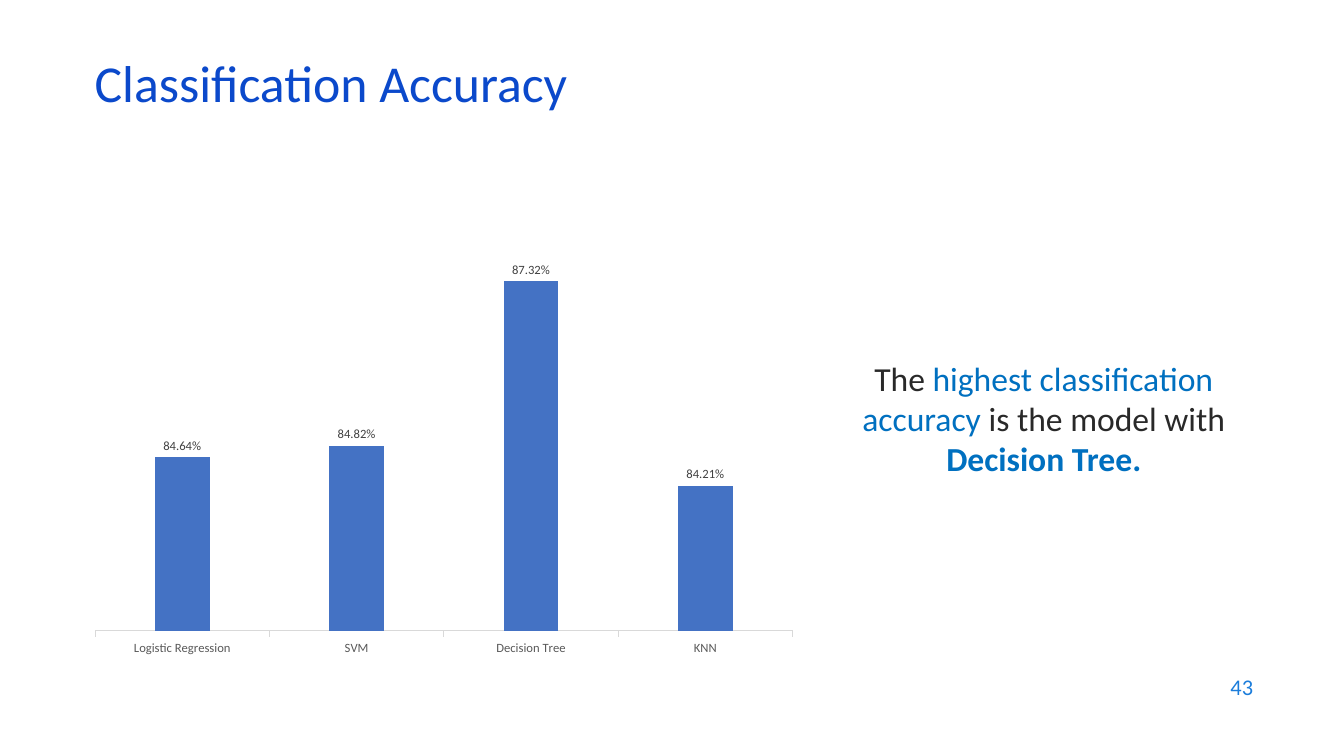
import pptx
import pptx.chart.data
import pptx.dml.color
import pptx.enum.chart
import pptx.enum.text
import pptx.util

Cm = pptx.util.Cm
Pt = pptx.util.Pt
RGBColor = pptx.dml.color.RGBColor
Align = pptx.enum.text.PP_ALIGN
Anchor = pptx.enum.text.MSO_ANCHOR

FONT = "Calibri"
TITLE_BLUE = RGBColor(0x0B, 0x49, 0xCB)
NUMBER_BLUE = RGBColor(0x1C, 0x7D, 0xDB)
ACCENT_BLUE = RGBColor(0x00, 0x70, 0xC0)
BODY_DARK = RGBColor(0x29, 0x29, 0x29)
BAR_BLUE = RGBColor(0x44, 0x72, 0xC4)
LABEL_GREY = RGBColor(0x40, 0x40, 0x40)
AXIS_GREY = RGBColor(0x59, 0x59, 0x59)
AXIS_LINE = RGBColor(0xD9, 0xD9, 0xD9)
BLACK = RGBColor(0, 0, 0)

ACCURACY = {
    "Logistic Regression": 0.8464,
    "SVM": 0.8482,
    "Decision Tree": 0.8732,
    "KNN": 0.8421,
}


def style_font(font, size, color, bold=False):
    font.name = FONT
    font.size = Pt(size)
    font.bold = bold
    font.color.rgb = color


def add_run(paragraph, text, size, color, bold=False):
    run = paragraph.add_run()
    run.text = text
    style_font(run.font, size, color, bold)


def add_title(slide, left, top, width, height):
    title = slide.shapes.title
    title.left, title.top, title.width, title.height = left, top, width, height
    title.text_frame.vertical_anchor = Anchor.MIDDLE
    heading = title.text_frame.paragraphs[0]
    heading.alignment = Align.LEFT
    heading.line_spacing = 0.7
    add_run(heading, "Classification Accuracy", 37, TITLE_BLUE)


def add_accuracy_chart(slide, left, top, width, height):
    data = pptx.chart.data.CategoryChartData(number_format="0.00%")
    data.categories = list(ACCURACY)
    data.add_series("Series 1", list(ACCURACY.values()))
    chart = slide.shapes.add_chart(
        pptx.enum.chart.XL_CHART_TYPE.COLUMN_CLUSTERED,
        left, top, width, height, data).chart
    chart.has_legend = False
    chart.has_title = False
    style_font(chart.font, 10, BLACK)

    # Axes
    model_axis = chart.category_axis
    model_axis.major_tick_mark = pptx.enum.chart.XL_TICK_MARK.OUTSIDE
    model_axis.format.line.color.rgb = AXIS_LINE
    model_axis.format.line.width = Pt(0.75)
    style_font(model_axis.tick_labels.font, 9, AXIS_GREY)
    accuracy_axis = chart.value_axis
    accuracy_axis.minimum_scale = 0.82
    accuracy_axis.maximum_scale = 0.88
    accuracy_axis.has_major_gridlines = False
    accuracy_axis.visible = False

    # Bars and their labels
    bars = chart.plots[0]
    bars.gap_width = 219
    bars.overlap = -27
    bars.vary_by_categories = False
    accuracy = bars.series[0]
    accuracy.format.fill.solid()
    accuracy.format.fill.fore_color.rgb = BAR_BLUE
    labels = accuracy.data_labels
    labels.show_value = True
    labels.number_format = "0.00%"
    labels.number_format_is_linked = False
    labels.position = pptx.enum.chart.XL_LABEL_POSITION.OUTSIDE_END
    style_font(labels.font, 9, LABEL_GREY)


def add_text(slide, left, top, width, height, align, anchor, runs):
    frame = slide.shapes.add_textbox(left, top, width, height).text_frame
    frame.word_wrap = True
    frame.vertical_anchor = anchor
    paragraph = frame.paragraphs[0]
    paragraph.alignment = align
    for run in runs:
        add_run(paragraph, *run)


def add_finding(slide, left, top, width, height):
    add_text(slide, left, top, width, height, Align.CENTER, Anchor.TOP, [
        ("The ", 24, BODY_DARK),
        ("highest classification accuracy ", 24, ACCENT_BLUE),
        ("is the model with ", 24, BODY_DARK),
        ("Decision Tree.", 24, ACCENT_BLUE, True),
    ])


def add_page_number(slide, left, top, width, height):
    add_text(slide, left, top, width, height, Align.RIGHT, Anchor.MIDDLE,
             [("43", 16, NUMBER_BLUE)])


def main():
    deck = pptx.Presentation()
    deck.slide_width, deck.slide_height = Cm(33.87), Cm(19.05)
    slide = deck.slides.add_slide(deck.slide_layouts.get_by_name("Title Only"))
    add_title(slide, Cm(2.13), Cm(1.5), Cm(29.21), Cm(1.52))
    add_accuracy_chart(slide, Cm(2.03), Cm(5.74), Cm(18.31), Cm(11))
    add_finding(slide, Cm(20.35), Cm(8.89), Cm(11.91), Cm(4.11))
    add_page_number(slide, Cm(24.21), Cm(16.74), Cm(7.62), Cm(1.12))
    deck.save("out.pptx")


if __name__ == "__main__":
    main()
